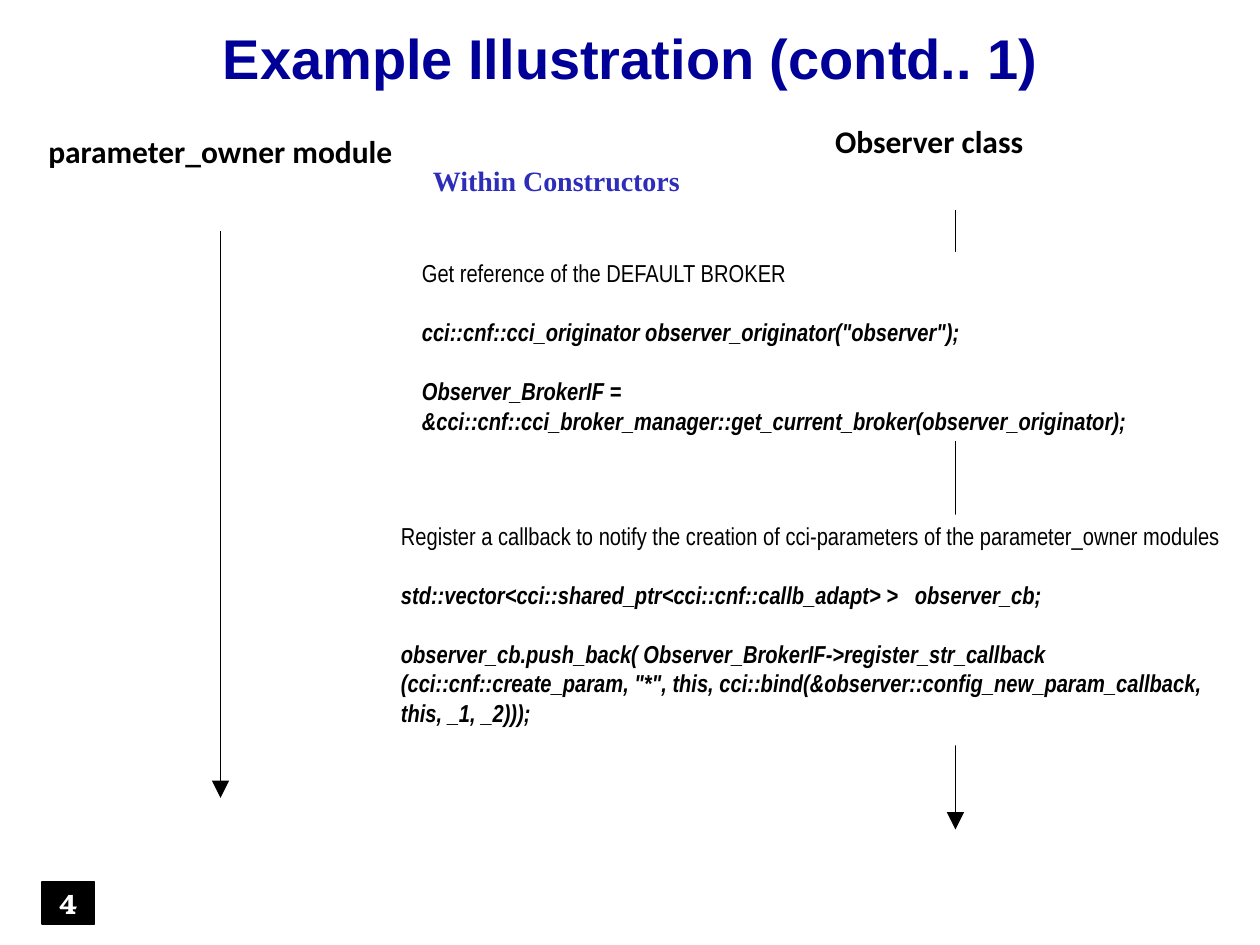
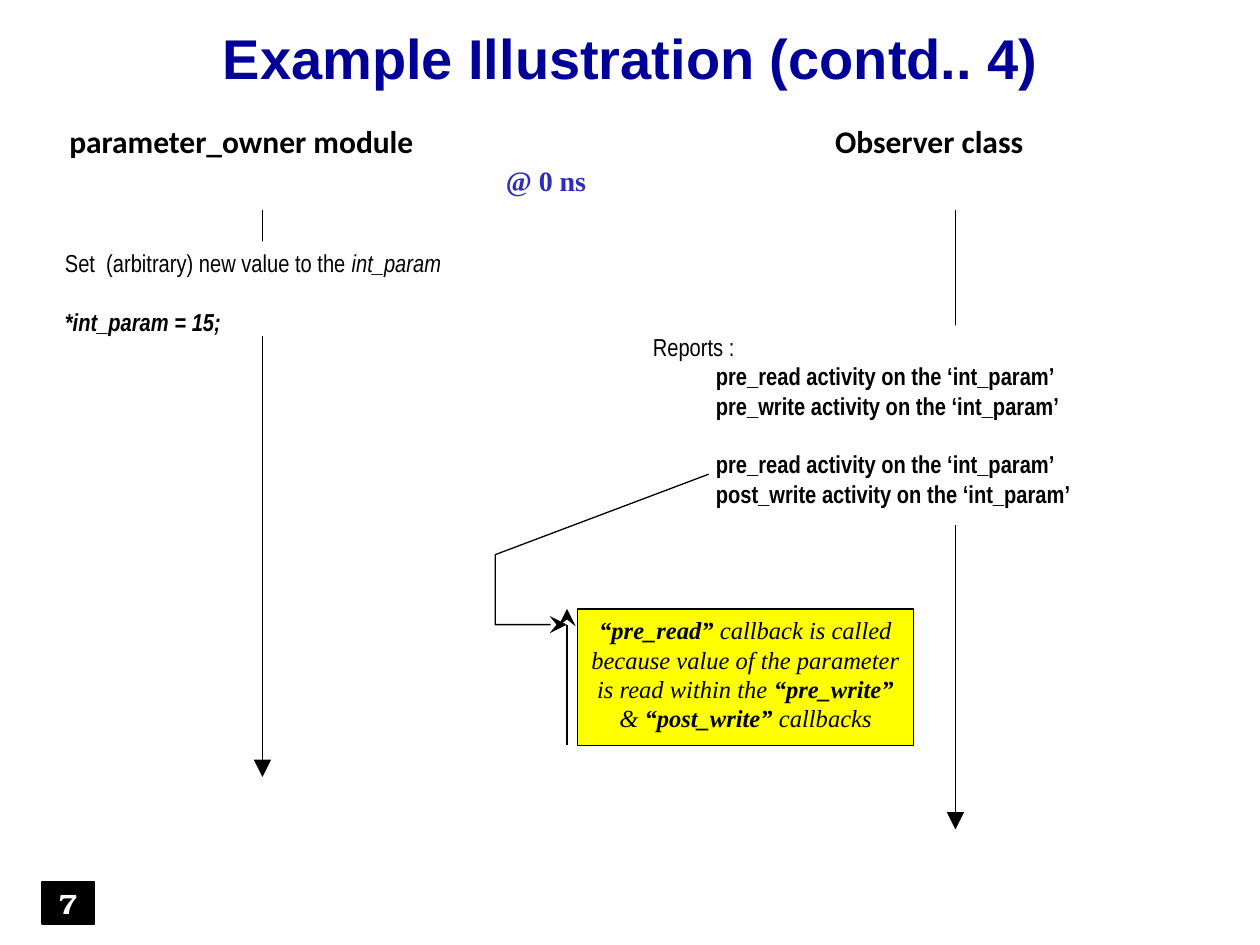
import dataclasses
from typing import NamedTuple, Optional

import lxml.etree
import pptx
import pptx.dml.color
import pptx.enum.shapes
import pptx.enum.text
import pptx.oxml.ns
import pptx.presentation
import pptx.shapes.autoshape
import pptx.slide
import pptx.text.text
import pptx.util

Pt = pptx.util.Pt
CENTER = pptx.enum.text.PP_ALIGN.CENTER
LEFT = pptx.enum.text.PP_ALIGN.LEFT
MIDDLE = pptx.enum.text.MSO_ANCHOR.MIDDLE
TOP = pptx.enum.text.MSO_ANCHOR.TOP


class Style(NamedTuple):
    font: str
    size: float
    color: str
    bold: bool = False
    italic: bool = False


@dataclasses.dataclass(frozen=True)
class Theme:
    ink: str = "000000"
    paper: str = "FFFFFF"
    highlight: str = "FFFF00"
    line_width: float = 0.75
    blank_line: float = 16.9
    title: Style = Style("Arial", 32, "000099", bold=True)
    heading: Style = Style("Calibri", 18, "000000", bold=True)
    phase: Style = Style("Times New Roman", 16, "2D2DB9", bold=True)
    body: Style = Style("Arial Narrow", 14, "000000")
    callout: Style = Style("Times New Roman", 14, "000000", italic=True)
    number: Style = Style("TeX Gyre Bonum", 16, "FFFFFF", bold=True)


THEME = Theme()


class Area(NamedTuple):
    left: float
    top: float
    width: float
    height: float


class Span(NamedTuple):
    text: str
    bold: bool = False
    italic: bool = False


class Line(NamedTuple):
    spans: list[Span]
    gap: float = 0
    indent: float = 0


class Panel(NamedTuple):
    area: Area
    lines: list[Line]


class Lifeline(NamedTuple):
    x: float
    top: float
    bottom: float


class Sequence(NamedTuple):
    """One page: two lifelines with the text that sits on them."""
    title: str
    number: str
    phase: str
    phase_area: Area
    owner_area: Area
    owner_lifeline: Lifeline
    panels: list[Panel]


# Positions shared by the pages
TITLE_AREA = Area(18.5, 11, 684, 49)
OBSERVER_AREA = Area(426, 66, 210, 30)
OBSERVER_LIFELINE = Lifeline(546, 120, 474)
NUMBER_AREA = Area(24, 504, 30, 24)


def rgb(color: str) -> pptx.dml.color.RGBColor:
    return pptx.dml.color.RGBColor.from_string(color)


def format_span(span: pptx.text.text._Run, style: Style, bold: bool = False,
                italic: bool = False) -> None:
    span.font.name = style.font
    span.font.size = Pt(style.size)
    span.font.color.rgb = rgb(style.color)
    span.font.bold = style.bold or bold
    span.font.italic = style.italic or italic


def write_lines(frame: pptx.text.text.TextFrame, lines: list[Line], style: Style,
                align: pptx.enum.text.PP_ALIGN) -> None:
    for index, line in enumerate(lines):
        para = frame.add_paragraph() if index else frame.paragraphs[0]
        para.alignment = align
        para.space_before = Pt(line.gap)
        if line.indent:
            para._p.get_or_add_pPr().set("marL", str(Pt(line.indent)))
        for part in line.spans:
            span = para.add_run()
            span.text = part.text
            format_span(span, style, part.bold, part.italic)


def add_box(page: pptx.slide.Slide, area: Area, lines: list[Line], style: Style,
            align: pptx.enum.text.PP_ALIGN = CENTER, fill: str = THEME.paper,
            outlined: bool = False,
            anchor: pptx.enum.text.MSO_ANCHOR = TOP) -> pptx.shapes.autoshape.Shape:
    box = page.shapes.add_shape(pptx.enum.shapes.MSO_SHAPE.RECTANGLE, *map(Pt, area))
    box.shadow.inherit = False
    box.fill.solid()
    box.fill.fore_color.rgb = rgb(fill)
    if outlined:
        format_stroke(box)
    else:
        box.line.fill.background()
    box.text_frame.word_wrap = True
    box.text_frame.vertical_anchor = anchor
    write_lines(box.text_frame, lines, style, align)
    return box


def format_stroke(shape, arrow: Optional[str] = None) -> None:
    shape.line.color.rgb = rgb(THEME.ink)
    shape.line.width = Pt(THEME.line_width)
    if arrow:
        outline = shape._element.spPr.find(pptx.oxml.ns.qn("a:ln"))
        lxml.etree.SubElement(outline, pptx.oxml.ns.qn("a:tailEnd"),
                              type=arrow, w="lg", len="lg")


def add_arrow(page: pptx.slide.Slide, x: float, start: float, end: float,
              arrow: str = "triangle") -> None:
    connector = page.shapes.add_connector(
        pptx.enum.shapes.MSO_CONNECTOR.STRAIGHT, Pt(x), Pt(start), Pt(x), Pt(end))
    format_stroke(connector, arrow)
    lxml.etree.SubElement(connector._element.spPr, pptx.oxml.ns.qn("a:effectLst"))


def add_title(page: pptx.slide.Slide, text: str) -> None:
    title = page.shapes.title
    title.left, title.top, title.width, title.height = map(Pt, TITLE_AREA)
    frame = title.text_frame
    frame.text = text
    frame.word_wrap = True
    frame.auto_size = pptx.enum.text.MSO_AUTO_SIZE.NONE
    frame.vertical_anchor = MIDDLE
    para = frame.paragraphs[0]
    para.alignment = CENTER
    para.line_spacing = 0.85
    para.space_before = Pt(0)
    format_span(para.runs[0], THEME.title)


def add_callout(page: pptx.slide.Slide, area: Area, spans: list[Span],
                leader_points: list[tuple[float, float]]) -> None:
    add_box(page, area, [Line(spans)], THEME.callout, fill=THEME.highlight, outlined=True)
    # Bent leader that ends at the accent bar
    points = [(Pt(x), Pt(y)) for x, y in leader_points]
    builder = page.shapes.build_freeform(*points[0])
    builder.add_line_segments(points[1:], close=False)
    leader = builder.convert_to_shape()
    leader.shadow.inherit = False
    leader.fill.background()
    format_stroke(leader, "stealth")
    # Accent bar beside the callout
    add_arrow(page, leader_points[-1][0], area.top + area.height, area.top, "stealth")


def plain(text: str) -> list[Line]:
    return [Line([Span(text)])]


def code(text: str) -> Line:
    return Line([Span(text, bold=True, italic=True)], gap=THEME.blank_line)


def report(text: str, gap: float = 0) -> Line:
    return Line([Span(f"{text} activity on the ‘int_param’", bold=True)], gap, indent=36)


def add_sequence(deck: pptx.presentation.Presentation, sequence: Sequence) -> pptx.slide.Slide:
    page = deck.slides.add_slide(deck.slide_layouts[5])
    add_title(page, sequence.title)

    # Lifelines, then the phase label beneath the headings
    for lifeline in (OBSERVER_LIFELINE, sequence.owner_lifeline):
        add_arrow(page, *lifeline)
    add_box(page, sequence.phase_area, plain(sequence.phase), THEME.phase)
    add_box(page, OBSERVER_AREA, plain("Observer class"), THEME.heading)
    add_box(page, sequence.owner_area, plain("parameter_owner module"), THEME.heading)

    # Steps that interrupt the lifelines
    for panel in sequence.panels:
        add_box(page, panel.area, panel.lines, THEME.body, align=LEFT)

    number = add_box(page, NUMBER_AREA, plain(sequence.number), THEME.number,
                     fill=THEME.ink, outlined=True, anchor=MIDDLE)
    number.text_frame.word_wrap = False
    return page


CONSTRUCTORS = Sequence(
    "Example Illustration (contd.. 1)", "4", "Within Constructors",
    phase_area=Area(210, 90, 216, 24), owner_area=Area(12, 72, 228, 30),
    owner_lifeline=Lifeline(126, 132, 456),
    panels=[
        Panel(Area(234, 144, 462, 108), [
            Line([Span("Get reference of the DEFAULT BROKER")]),
            code('cci::cnf::cci_originator observer_originator("observer");'),
            code("Observer_BrokerIF = "
                 "&cci::cnf::cci_broker_manager::get_current_broker(observer_originator);"),
        ]),
        Panel(Area(222, 294, 492, 132), [
            Line([Span("Register a callback to notify the creation of cci-parameters "
                       "of the parameter_owner modules")]),
            code("std::vector<cci::shared_ptr<cci::cnf::callb_adapt> >   observer_cb;"),
            code("observer_cb.push_back( Observer_BrokerIF->register_str_callback "
                 '(cci::cnf::create_param, "*", this, '
                 "cci::bind(&observer::config_new_param_callback, this, _1, _2)));"),
        ]),
    ])

NEW_VALUE = Sequence(
    "Example Illustration (contd.. 4)", "7", "@ 0 ns",
    phase_area=Area(276, 90, 72, 24), owner_area=Area(24, 66, 228, 30),
    owner_lifeline=Lifeline(150, 120, 444),
    panels=[
        Panel(Area(30, 138, 240, 54), [
            Line([Span("Set  (arbitrary) new value to the "), Span("int_param", italic=True)]),
            code("*int_param = 15;"),
        ]),
        Panel(Area(366, 186, 318, 114), [
            Line([Span("Reports :")]),
            report("pre_read"),
            report("pre_write"),
            report("pre_read", gap=THEME.blank_line),
            report("post_write"),
        ]),
    ])

CALLOUT_SPANS = [
    Span("“pre_read”", bold=True),
    Span(" callback is called because value of the parameter is read within the "),
    Span("“pre_write”", bold=True),
    Span(" & "),
    Span("“post_write”", bold=True),
    Span(" callbacks"),
]


def main() -> None:
    deck = pptx.Presentation()
    deck.slide_width, deck.slide_height = Pt(720), Pt(540)
    add_sequence(deck, CONSTRUCTORS)
    page = add_sequence(deck, NEW_VALUE)
    add_callout(page, Area(330, 348, 192, 78), CALLOUT_SPANS,
                [(405, 271), (283, 317), (283, 357), (324, 357)])
    deck.save("out.pptx")


if __name__ == "__main__":
    main()
